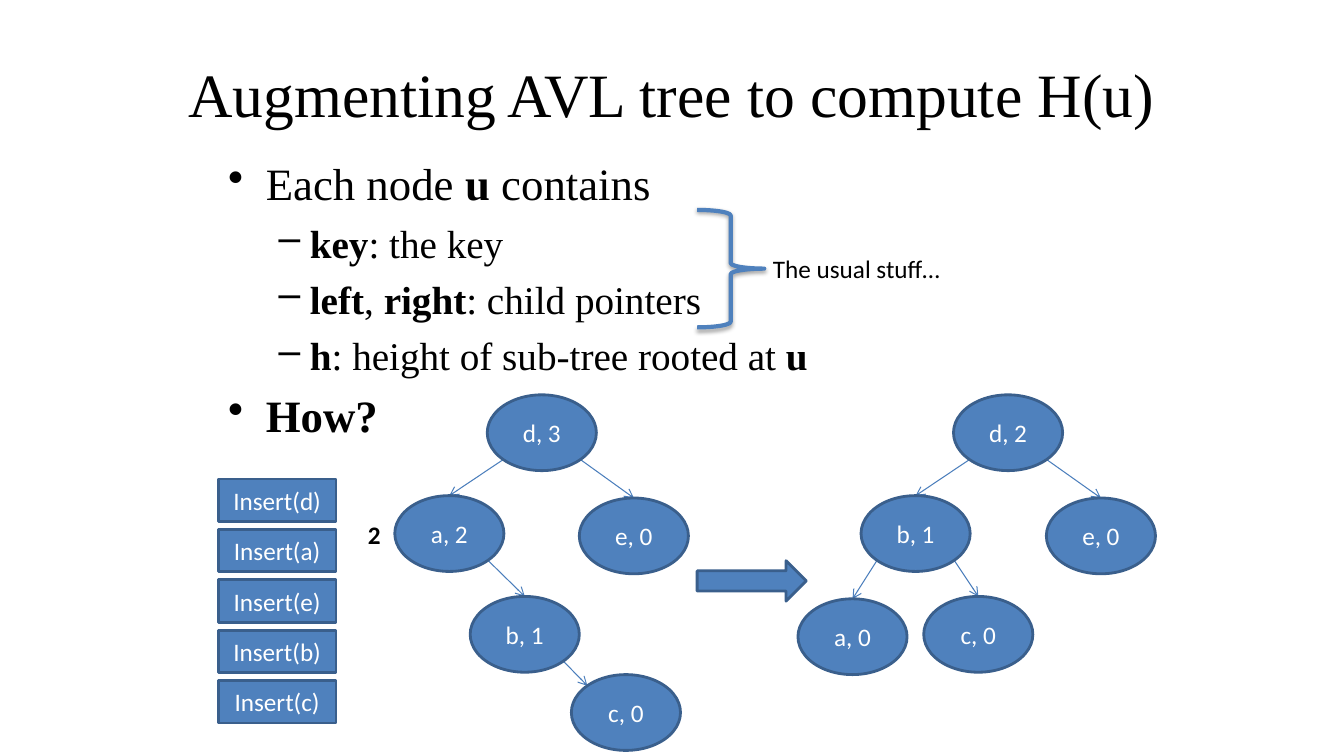
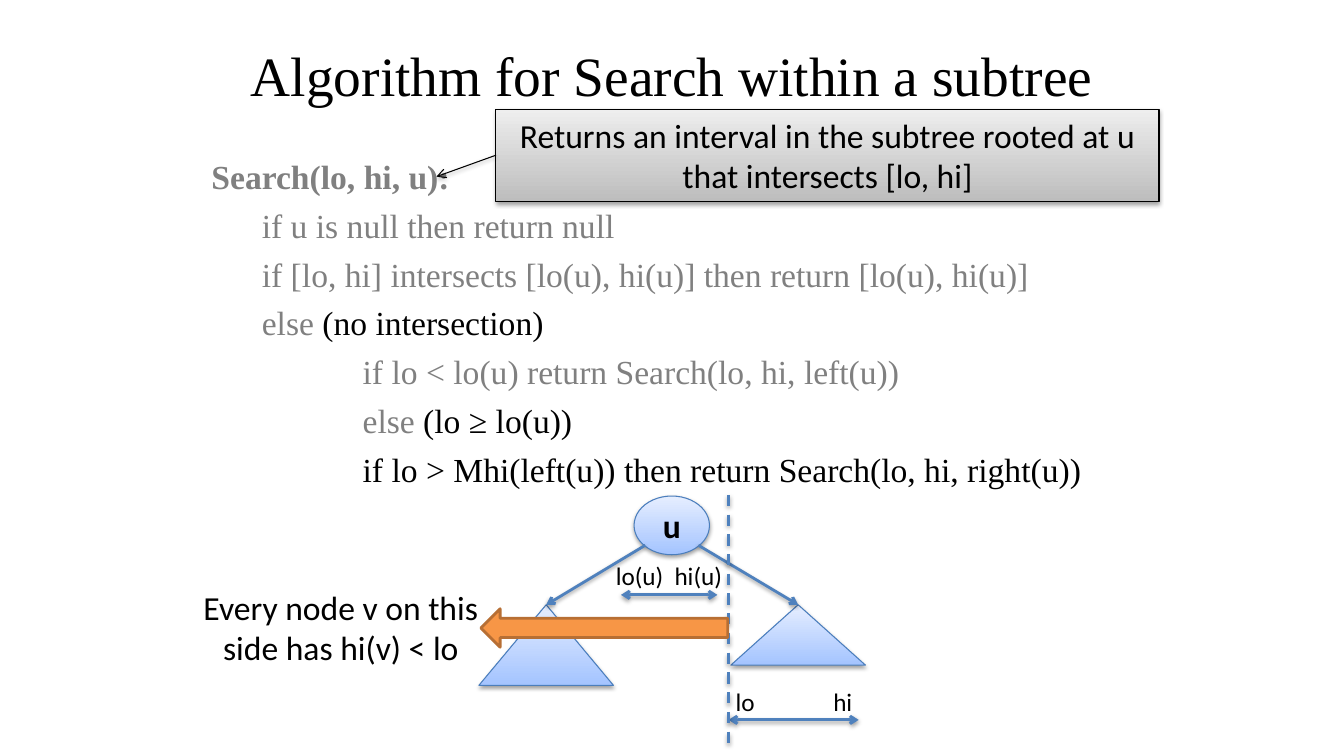
"""Build two slides on augmented AVL trees and interval search."""
import math

import lxml.etree
import pptx
import pptx.dml.color
import pptx.enum.dml
import pptx.enum.shapes
import pptx.enum.text
import pptx.oxml.ns
import pptx.util

Cm = pptx.util.Cm
Pt = pptx.util.Pt
SHAPE = pptx.enum.shapes.MSO_SHAPE
ALIGN = pptx.enum.text.PP_ALIGN
ANCHOR = pptx.enum.text.MSO_ANCHOR
qn = pptx.oxml.ns.qn

COLORS = {
    "black": "000000",
    "white": "FFFFFF",
    "gray": "808080",
    "blue": "4F81BD",
    "edge": "4B7EBC",
    "blue_border": "3A5F8C",
    "orange": "F79646",
    "orange_border": "B76F34",
    "blue_dark": "A4C4FF",
    "blue_light": "E6EEFF",
    "gray_dark": "BDBDBD",
    "gray_light": "EEEEEE",
}
SERIF = "Times New Roman"
SANS = "Calibri"
NODE_W, NODE_H = 2.75, 1.91


def rgb(name):
    return pptx.dml.color.RGBColor.from_string(COLORS[name])


def add_xml(parent, tag, **attrs):
    return lxml.etree.SubElement(parent, qn(tag), attrs)


def write(p, text, size=18, color="black", bold=False, font=SANS):
    r = p.add_run()
    r.text = text
    r.font.size = Pt(size)
    r.font.name = font
    r.font.bold = bold
    r.font.color.rgb = rgb(color)


def set_effects(sp, shadow):
    effects = add_xml(sp._element.spPr, "a:effectLst")
    if shadow:
        outer = add_xml(effects, "a:outerShdw", blurRad=str(Pt(3.1)), dist=str(Pt(1.7)),
                        dir="5400000", rotWithShape="0")
        color = add_xml(outer, "a:srgbClr", val=COLORS["black"])
        add_xml(color, "a:alpha", val="37000")


class Deck:
    def __init__(self):
        self.prs = pptx.Presentation()
        self.prs.slide_width = Cm(33.87)
        self.prs.slide_height = Cm(19.05)
        self.s = None

    def slide(self):
        self.s = self.prs.slides.add_slide(self.prs.slide_layouts[6])

    def box(self, x, y, w, h, anchor=ANCHOR.TOP, wrap=True):
        tf = self.s.shapes.add_textbox(Cm(x), Cm(y), Cm(w), Cm(h)).text_frame
        tf.word_wrap = wrap
        tf.vertical_anchor = anchor
        return tf

    def title(self, text, x, y, w, h, size):
        p = self.box(x, y, w, h, ANCHOR.MIDDLE).paragraphs[0]
        p.alignment = ALIGN.CENTER
        write(p, text, size=size, font=SERIF)

    def label(self, text, x, y, w, h=1.02, align=ALIGN.LEFT, wrap=True, **style):
        p = self.box(x, y, w, h, wrap=wrap).paragraphs[0]
        p.alignment = align
        write(p, text, **style)

    def body(self, x, y, w, h, space, paragraphs):
        tf = self.box(x, y, w, h)
        for i, (margin, hang, bullet, runs) in enumerate(paragraphs):
            p = tf.add_paragraph() if i else tf.paragraphs[0]
            p.space_before = Pt(space)
            pPr = p._p.get_or_add_pPr()
            pPr.set("marL", str(Cm(margin)))
            pPr.set("indent", str(-Cm(hang)))
            if bullet:
                add_xml(pPr, "a:buChar", char=bullet)
            for text, style in runs:
                write(p, text, font=SERIF, **style)

    def shape(self, kind, x, y, w, h, fill=None, border="blue_border", width=2,
              shadow=False, text=None, **style):
        sp = self.s.shapes.add_shape(kind, Cm(x), Cm(y), Cm(w), Cm(h))
        if fill is None:
            sp.fill.background()
        elif isinstance(fill, tuple):
            sp.fill.gradient()
            sp.fill.gradient_angle = 90
            for stop, color in zip(sp.fill.gradient_stops, fill):
                stop.color.rgb = rgb(color)
        else:
            sp.fill.solid()
            sp.fill.fore_color.rgb = rgb(fill)
        sp.line.color.rgb = rgb(border)
        sp.line.width = Pt(width)
        set_effects(sp, shadow)
        if text:
            tf = sp.text_frame
            tf.word_wrap = True
            tf.vertical_anchor = ANCHOR.MIDDLE
            p = tf.paragraphs[0]
            p.alignment = ALIGN.CENTER
            write(p, text, **style)

    def line(self, start, end, color="blue", width=2, head=False, tail=True,
             dash=False, shadow=True):
        sp = self.s.shapes.add_connector(pptx.enum.shapes.MSO_CONNECTOR.STRAIGHT,
                                         *map(Cm, start + end))
        sp.line.color.rgb = rgb(color)
        sp.line.width = Pt(width)
        if dash:
            sp.line.dash_style = pptx.enum.dml.MSO_LINE.DASH
        ln = sp.line._get_or_add_ln()
        if head:
            add_xml(ln, "a:headEnd", type="arrow")
        if tail:
            add_xml(ln, "a:tailEnd", type="arrow")
        set_effects(sp, shadow)

    def tree(self, nodes, edges):
        dx, dy = (size / 2 * math.sqrt(0.5) for size in (NODE_W, NODE_H))
        for parent, child, side, target in edges:
            (px, py), (cx, cy) = nodes[parent], nodes[child]
            start = (px + NODE_W / 2 + side * dx, py + NODE_H / 2 + dy)
            end = (cx + NODE_W / 2, cy)
            if target == "corner":
                end = (end[0] - side * dx, cy + NODE_H / 2 - dy)
            self.line(start, end, color="edge", width=0.75, shadow=False)
        for text, (x, y) in nodes.items():
            self.shape(SHAPE.OVAL, x, y, NODE_W, NODE_H, fill="blue", text=text, color="white")


def augmenting_slide(deck):
    def item(*runs):
        return 2.06, 0.79, "–", [(t, dict(size=28, bold=b)) for t, b in runs]

    def head(*runs):
        return 0.95, 0.95, "•", [(t, dict(size=32, bold=b)) for t, b in runs]

    deck.slide()
    deck.title("Augmenting AVL tree to compute H(u)", 1.69, 0.76, 30.48, 3.18, 44)
    deck.body(5.5, 3.81, 22.86, 7.62, 6.5, [
        head(("Each node ", False), ("u", True), (" contains", False)),
        item(("key", True), (": the key", False)),
        item(("left", True), (", ", False), ("right", True), (": child pointers", False)),
        item(("h", True), (": height of sub-tree rooted at ", False), ("u", True)),
        head(("How?", True)),
    ])
    deck.shape(SHAPE.RIGHT_BRACE, 17.57, 5.29, 1.69, 2.96, border="blue", width=3, shadow=True)
    deck.label("The usual stuff…", 19.23, 6.27, 8.05)
    for i, key in enumerate("daebc"):
        deck.shape(SHAPE.RECTANGLE, 5.5, 12.07 + 1.27 * i, 2.97, 1.07, fill="blue",
                   text=f"Insert({key})", color="white")
    deck.tree(
        {"d, 3": (12.28, 9.95), "a, 2": (9.95, 12.49), "e, 0": (14.6, 12.55),
         "b, 1": (11.85, 15.03), "c, 0": (14.4, 17)},
        [("d, 3", "a, 2", -1, "top"), ("d, 3", "e, 0", 1, "top"),
         ("a, 2", "b, 1", 1, "top"), ("b, 1", "c, 0", 1, "corner")])
    deck.tree(
        {"d, 2": (24.03, 9.95), "b, 1": (21.7, 12.49), "e, 0": (26.37, 12.55),
         "a, 0": (20.11, 15.09), "c, 0": (23.28, 15.03)},
        [("d, 2", "b, 1", -1, "top"), ("d, 2", "e, 0", 1, "top"),
         ("b, 1", "a, 0", -1, "top"), ("b, 1", "c, 0", 1, "top")])
    deck.shape(SHAPE.RIGHT_ARROW, 17.57, 14.13, 2.75, 1.02, fill="blue")
    deck.label("2", 9.02, 12.95, 1.22, bold=True)


def search_slide(deck):
    def code(level, *runs, bold=False):
        return level * 1.27, 0, None, [(t, dict(size=24, color=c, bold=bold)) for t, c in runs]

    deck.slide()
    deck.title("Algorithm for Search within a subtree", 5.5, 0.76, 22.86, 2.21, 39.6)
    deck.body(5.08, 3.81, 23.93, 12.7, 6, [
        code(0, ("Search(lo, hi, u):", "gray"), bold=True),
        code(1, ("if u is null then return null", "gray")),
        code(1, ("if [lo, hi] intersects [lo(u), hi(u)] then return [lo(u), hi(u)]", "gray")),
        code(1, ("else ", "gray"), ("(no intersection)", "black")),
        code(3, ("if lo < lo(u) return Search(lo, hi, left(u))", "gray")),
        code(3, ("else", "gray"), (" (lo ≥ lo(u))", "black")),
        code(3, ("if lo > Mhi(left(u)) then return Search(lo, hi, right(u))", "black")),
    ])
    deck.shape(SHAPE.RECTANGLE, 12.5, 2.75, 16.71, 2.33, fill=("gray_light", "gray_dark")[::-1],
               border="black", width=0.75, shadow=True, size=24,
               text="Returns an interval in the subtree rooted at u that intersects [lo, hi]")
    deck.line((12.5, 3.91), (11, 4.45), color="black", width=0.75)

    pale = dict(fill=("blue_dark", "blue_light"), border="edge", width=0.75, shadow=True)
    deck.shape(SHAPE.OVAL, 15.98, 12.5, 1.9, 1.48, text="u", size=24, bold=True, **pale)
    for x, h, start in ((12.07, 2.03, 16.26), (18.42, 1.52, 17.6)):
        deck.shape(SHAPE.ISOSCELES_TRIANGLE, x, 15.24, 3.39, h, **pale)
        deck.line((start, 13.74), (x + 3.39 / 2, 15.24))
    for left, right, y in ((15.65, 18.08, 14.99), (18.36, 21.64, 18.14)):
        deck.line((left, y), (right, y), head=True)
    for text, x, y in (("lo(u)", 15.27, 14), ("hi(u)", 16.75, 14),
                       ("lo", 18.29, 17.17), ("hi", 20.75, 17.17)):
        deck.label(text, x, y, 1.7, wrap=False)
    deck.line((18.36, 12.47), (18.36, 18.85), tail=False, dash=True)
    deck.shape(SHAPE.LEFT_ARROW, 12.12, 15.34, 6.22, 0.97, fill="orange", border="orange_border")
    deck.label("Every node v on this side has hi(v) < lo", 4.78, 14.66, 7.62, 2.31,
               align=ALIGN.CENTER, size=24)


def main():
    deck = Deck()
    augmenting_slide(deck)
    search_slide(deck)
    deck.prs.save("out.pptx")


if __name__ == "__main__":
    main()
